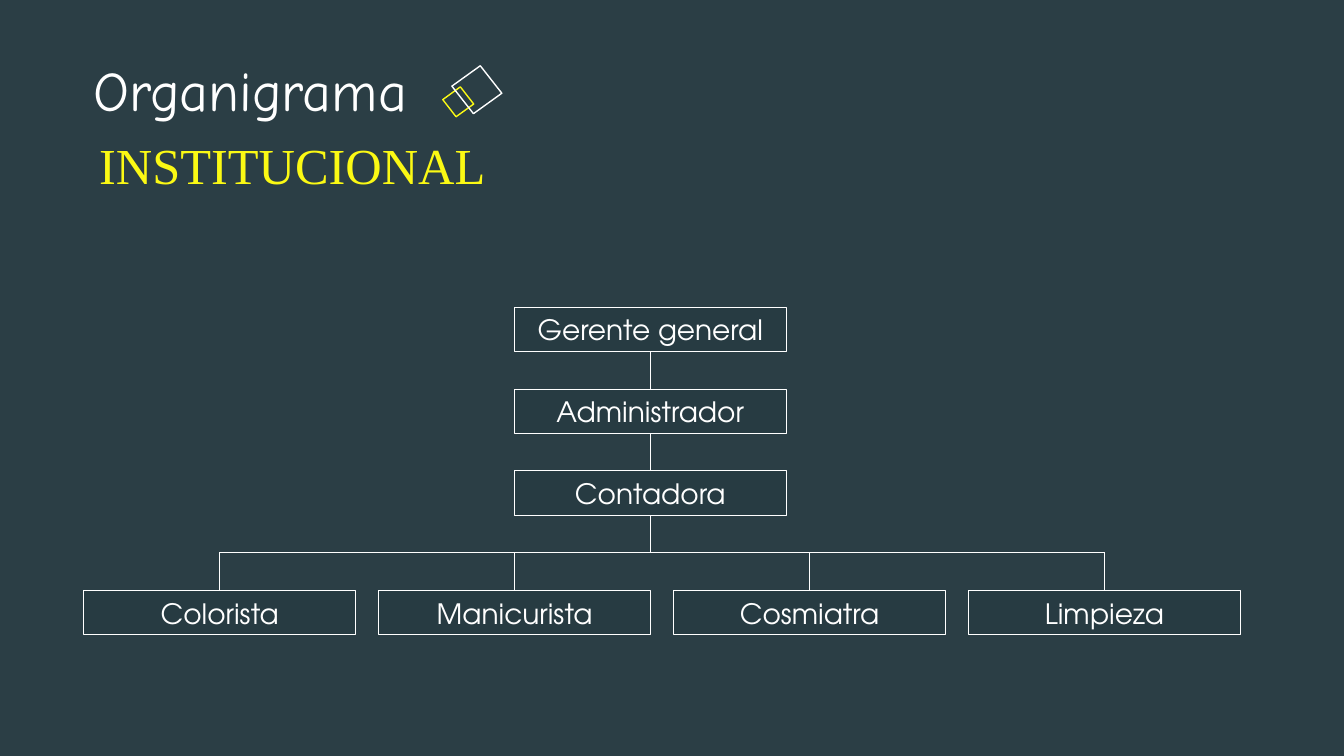
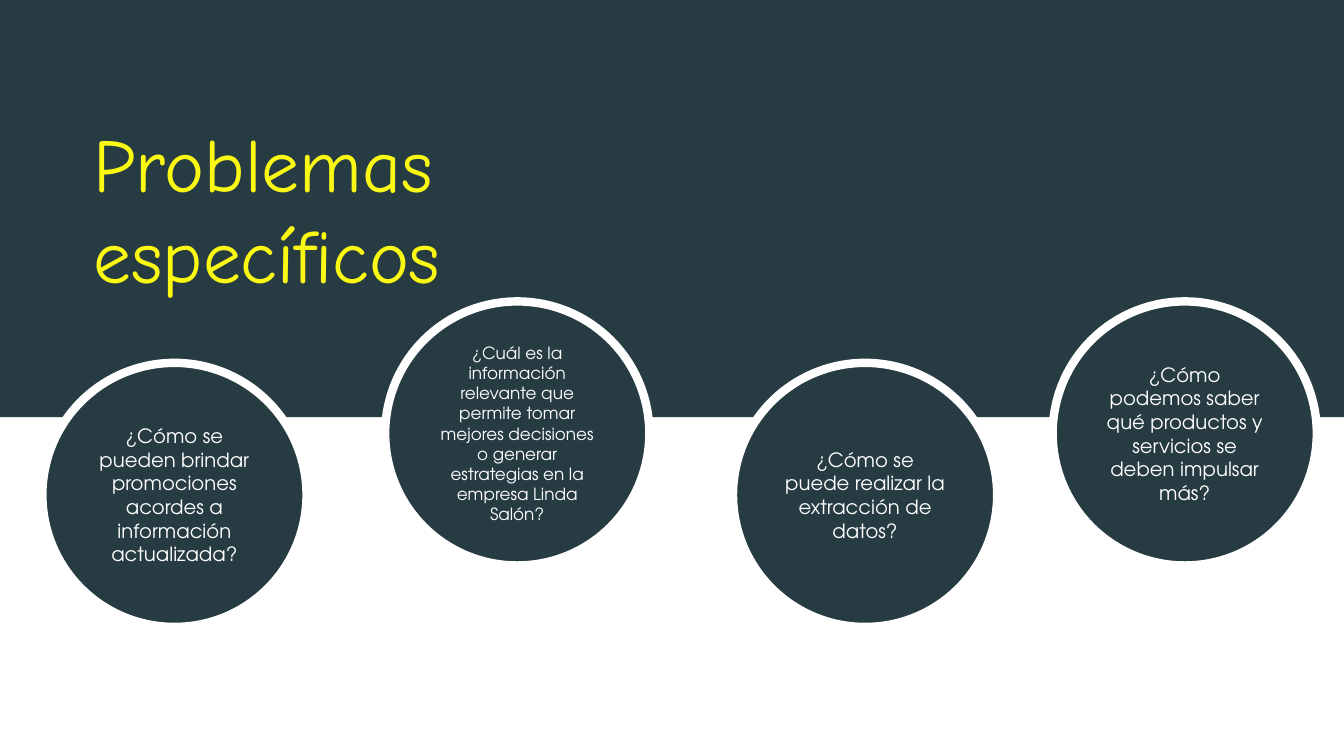
from lxml import etree
from pptx import Presentation
from pptx.dml.color import RGBColor
from pptx.enum.shapes import MSO_CONNECTOR, MSO_SHAPE
from pptx.enum.text import MSO_ANCHOR, PP_ALIGN
from pptx.oxml.ns import qn
from pptx.util import Inches, Pt

RECT, OVAL, DIAMOND = MSO_SHAPE.RECTANGLE, MSO_SHAPE.OVAL, MSO_SHAPE.DIAMOND
STRAIGHT = MSO_CONNECTOR.STRAIGHT
MIDDLE = MSO_ANCHOR.MIDDLE
LEFT, CENTER = PP_ALIGN.LEFT, PP_ALIGN.CENTER

W, H = 13.33, 7.5
COLORS = {name: RGBColor.from_string(value) for name, value in {
    "dark": "273B42", "white": "FFFFFF", "yellow": "FBF914"}.items()}
TITLE_FONT, SUBTITLE_FONT, BODY_FONT = "Comic Neue", "Times New Roman", "TeX Gyre Adventor"

prs = Presentation()
prs.slide_width, prs.slide_height = Inches(W), Inches(H)
blank = prs.slide_layouts[6]


def add_text(p, text, font, size, color, align):
    p.alignment = align
    r = p.add_run()
    r.text = text
    r.font.name = font
    r.font.size = Pt(size)
    r.font.color.rgb = COLORS[color]


def add_shape(s, kind, box, fill=None, line=None, width=0, text="", size=20):
    sp = s.shapes.add_shape(kind, *[Inches(v) for v in box])
    sp.shadow.inherit = False
    if fill:
        sp.fill.solid()
        sp.fill.fore_color.rgb = COLORS[fill]
    else:
        sp.fill.background()
    if line:
        sp.line.color.rgb = COLORS[line]
        sp.line.width = Pt(width)
    else:
        sp.line.fill.background()
    if text:
        tf = sp.text_frame
        tf.word_wrap = True
        tf.vertical_anchor = MIDDLE
        add_text(tf.paragraphs[0], text, BODY_FONT, size, "white", CENTER)
    return sp


# Organigrama
s = prs.slides.add_slide(blank)
sp = add_shape(s, RECT, (0, 0, W, H), "dark")
color = sp.fill._xPr.find(qn("a:solidFill"))[0]
etree.SubElement(color, qn("a:alpha")).set("val", "98000")

tf = s.shapes.add_textbox(Inches(0.33), Inches(0.5), Inches(4.64), Inches(1.49)).text_frame
tf.word_wrap = True
add_text(tf.paragraphs[0], "Organigrama", TITLE_FONT, 40, "white", LEFT)
add_text(tf.add_paragraph(), "INSTITUCIONAL", SUBTITLE_FONT, 36, "yellow", CENTER)
for p in tf.paragraphs:
    p.space_after = Pt(8)
    p._p.get_or_add_pPr().set("indent", str(Inches(0.5)))

BOX_W, BOX_H = 2.7, 0.44
CHAIN_X, CHAIN_Y, ROW = 5.1, 3.05, 0.81
TEAM_X, TEAM_Y, COL = 0.83, 5.86, 2.925
BUS_Y = 5.48
spine = CHAIN_X + BOX_W / 2
lines = []

chain = ["Gerente general", "Administrador", "Contadora"]
for i, role in enumerate(chain):
    top = CHAIN_Y + i * ROW
    add_shape(s, RECT, (CHAIN_X, top, BOX_W, BOX_H), "dark", "white", 0.75, role)
    end = BUS_Y if role == chain[-1] else top + ROW
    lines.append((spine, top + BOX_H, spine, end))

team = ["Colorista", "Manicurista", "Cosmiatra", "Limpieza"]
centers = [TEAM_X + i * COL + BOX_W / 2 for i in range(len(team))]
for role, x in zip(team, centers):
    add_shape(s, RECT, (x - BOX_W / 2, TEAM_Y, BOX_W, BOX_H), "dark", "white", 0.75, role)
    lines.append((x, BUS_Y, x, TEAM_Y))
lines.append((centers[0], BUS_Y, centers[-1], BUS_Y))

for ends in lines:
    cxn = s.shapes.add_connector(STRAIGHT, *[Inches(v) for v in ends])
    cxn.line.color.rgb = COLORS["white"]
    cxn.line.width = Pt(0.5)
    etree.SubElement(cxn._element.spPr, qn("a:effectLst"))

for box, line in [((4.39, 0.86, 0.31, 0.3), "yellow"), ((4.48, 0.65, 0.5, 0.48), "white")]:
    add_shape(s, DIAMOND, box, line=line, width=1).rotation = 8.1

# Problemas específicos
s = prs.slides.add_slide(blank)
add_shape(s, RECT, (0, 0, W, 0.552 * H), "dark")
tf = s.shapes.add_textbox(Inches(0.83), Inches(1.11), Inches(6.9), Inches(1.01)).text_frame
tf.word_wrap = True
add_text(tf.paragraphs[0], "Problemas específicos", TITLE_FONT, 54, "yellow", LEFT)

DIAMETER, LOW, HIGH = 2.62, 3.6, 2.99
problems = [
    (0.42, LOW, 14, "¿Cómo se pueden brindar promociones acordes a información actualizada?"),
    (3.82, HIGH, 12, "¿Cuál es la información relevante que permite tomar mejores decisiones "
                     "o generar estrategias en la empresa Linda Salón?"),
    (7.27, LOW, 14, "¿Cómo se puede realizar la extracción de datos?"),
    (10.44, HIGH, 14, "¿Cómo podemos saber qué productos y servicios se deben impulsar más?"),
]
for x, y, size, text in problems:
    add_shape(s, OVAL, (x, y, DIAMETER, DIAMETER), "dark", "white", 6, text, size)

prs.save("out.pptx")
